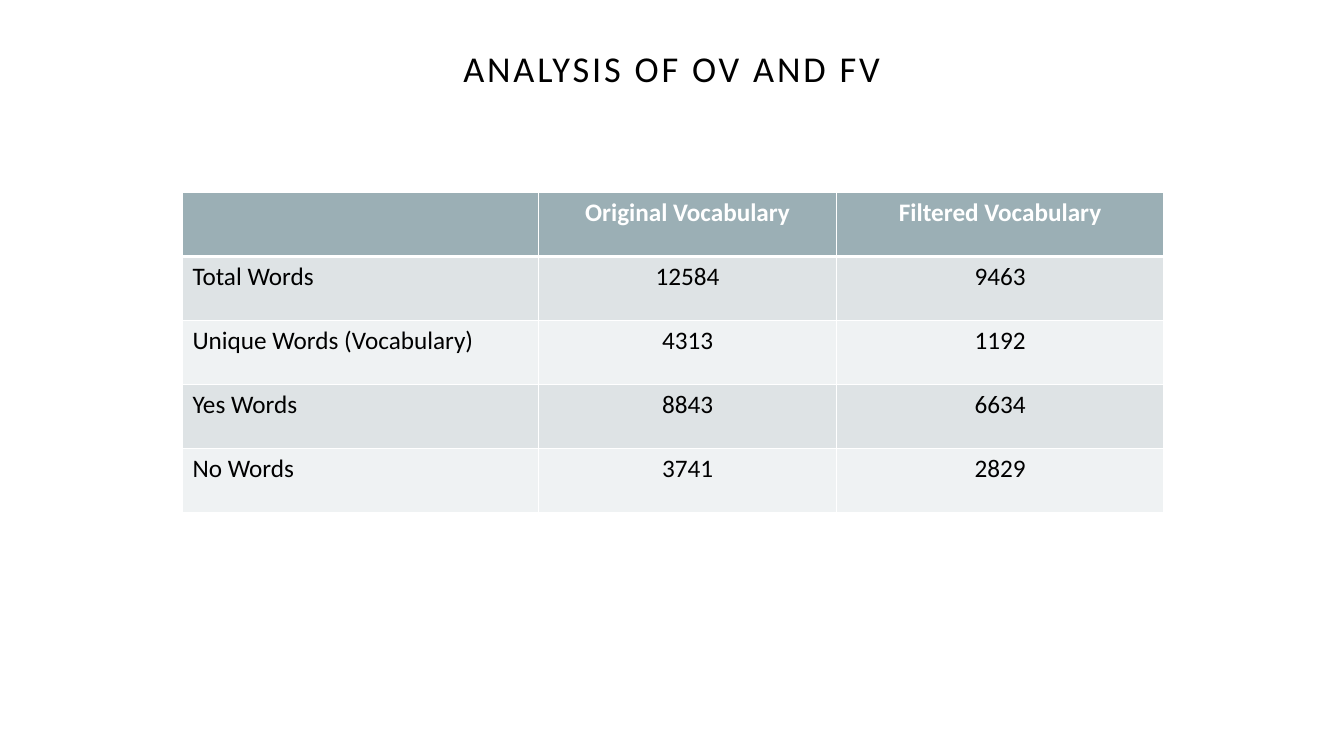
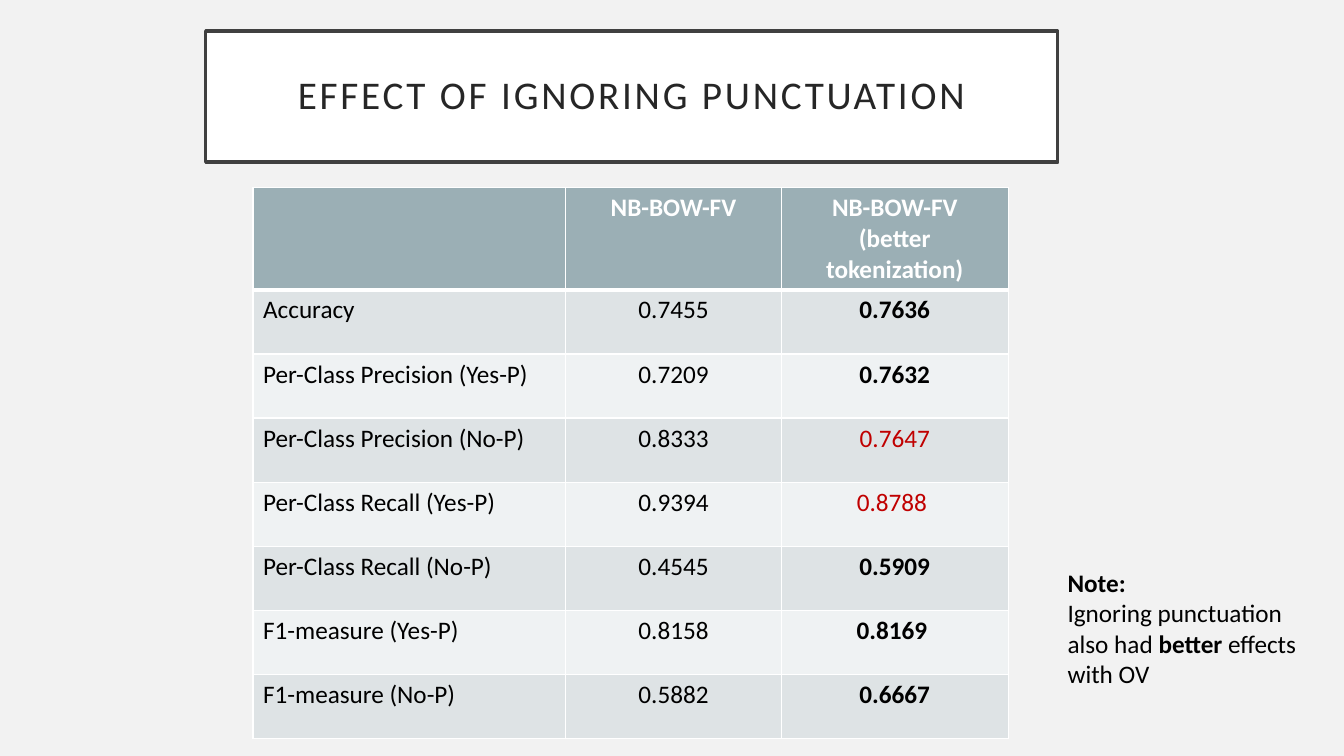
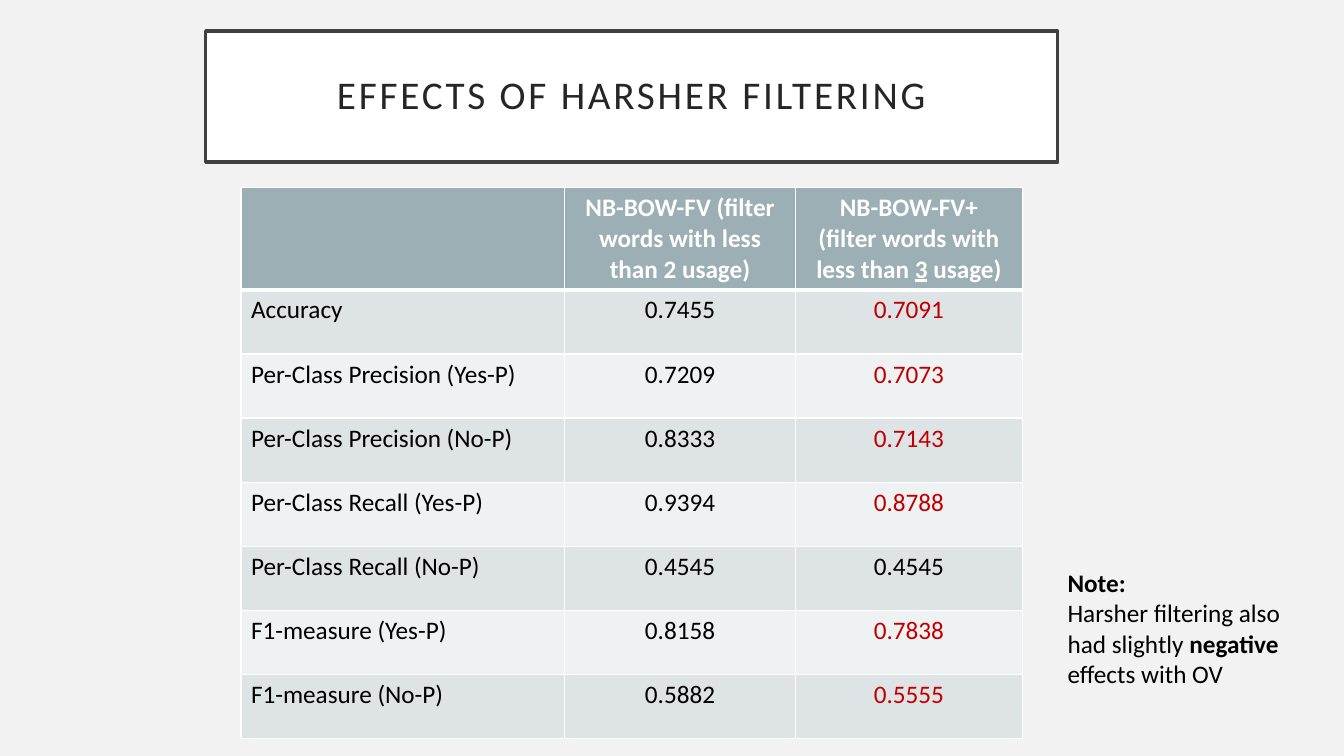
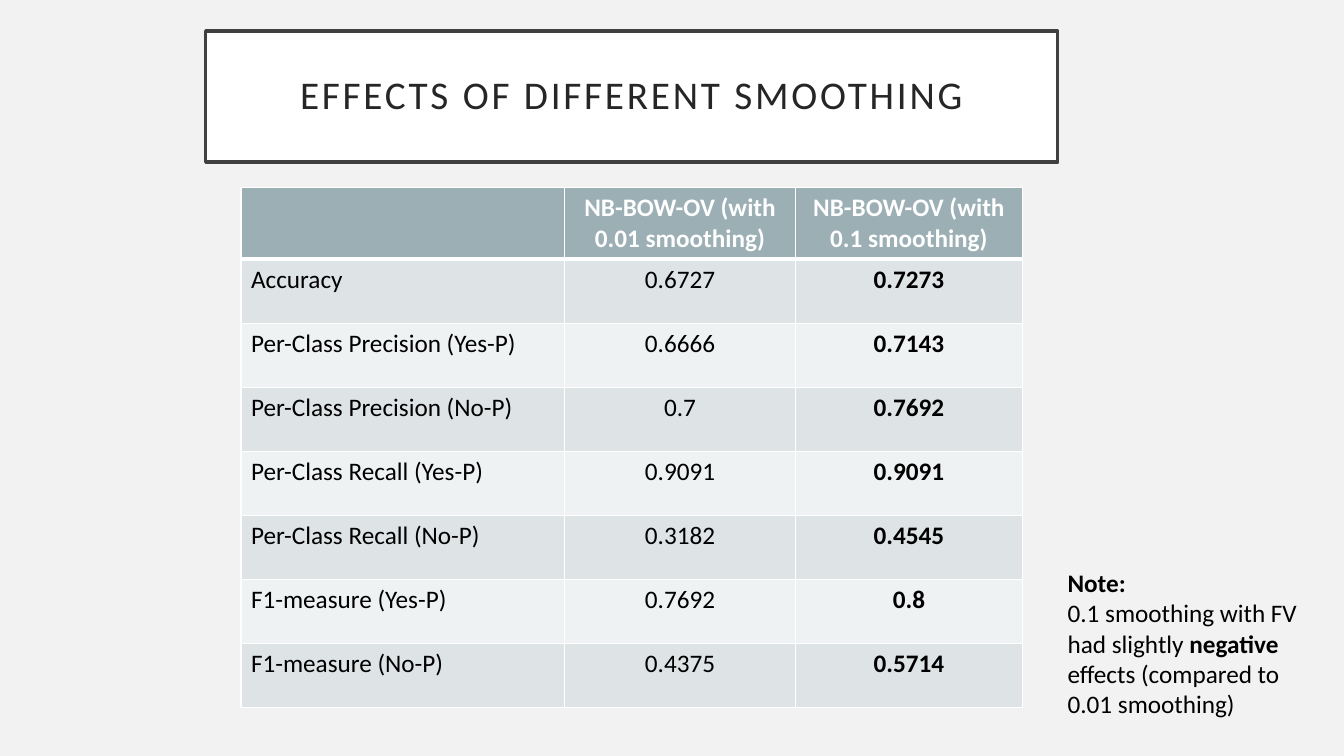
"""Build four slides comparing vocabularies and classifier variants in tables."""
from dataclasses import dataclass

from lxml.etree import SubElement
from pptx import Presentation
from pptx.dml.color import RGBColor
from pptx.enum.text import MSO_ANCHOR, MSO_AUTO_SIZE, PP_ALIGN
from pptx.oxml.ns import qn
from pptx.util import Inches, Pt


@dataclass(frozen=True)
class Theme:
    font: str = "Calibri"
    white: RGBColor = RGBColor.from_string("FFFFFF")
    black: RGBColor = RGBColor.from_string("000000")
    page: RGBColor = RGBColor.from_string("F2F2F2")
    frame: RGBColor = RGBColor.from_string("404040")
    heading: RGBColor = RGBColor.from_string("262626")
    header: RGBColor = RGBColor.from_string("9BAFB5")
    odd_row: RGBColor = RGBColor.from_string("DEE3E5")
    even_row: RGBColor = RGBColor.from_string("EFF2F3")
    worse: RGBColor = RGBColor.from_string("C00000")
    plain_title_size: int = 26
    framed_title_size: int = 28
    text_size: int = 18
    title_spacing: int = 200
    frame_width: float = 2.5
    grid_width: int = 1
    header_rule_width: int = 3


THEME = Theme()
ROW_HEIGHT = Inches(3.18) // 5
METRICS = [
    "Accuracy",
    "Per-Class Precision (Yes-P)",
    "Per-Class Precision (No-P)",
    "Per-Class Recall (Yes-P)",
    "Per-Class Recall (No-P)",
    "F1-measure (Yes-P)",
    "F1-measure (No-P)",
]
FV_SCORES = ["0.7455", "0.7209", "0.8333", "0.9394", "0.4545", "0.8158", "0.5882"]

SLIDES = [
    {
        "title": "ANALYSIS OF OV AND FV",
        "framed": False,
        "table_at": (1.81, 1.91),
        "columns": [3.53, 2.96, 3.24],
        "headers": [[], [[("Original Vocabulary", "bold")]], [[("Filtered Vocabulary", "bold")]]],
        "labels": ["Total Words", "Unique Words (Vocabulary)", "Yes Words", "No Words"],
        "baseline": ["12584", "4313", "8843", "3741"],
        "variant": ["9463", "1192", "6634", "2829"],
        "styles": [""] * 4,
    },
    {
        "title": "EFFECT OF IGNORING PUNCTUATION",
        "framed": True,
        "table_at": (2.51, 1.86),
        "columns": [3.1, 2.14, 2.25],
        "headers": [
            [],
            [[("NB-BOW-FV", "bold")]],
            [[("NB-BOW-FV", "bold")], [("(better tokenization)", "bold")]],
        ],
        "labels": METRICS,
        "baseline": FV_SCORES,
        "variant": ["0.7636", "0.7632", "0.7647", "0.8788 ", "0.5909", "0.8169 ", "0.6667"],
        "styles": ["bold", "bold", "worse", "worse", "bold", "bold", "bold"],
        "note": [("Ignoring punctuation also had ", ""), ("better", "bold"), (" effects with OV", "")],
        "note_height": 1.31,
    },
    {
        "title": "EFFECTS OF HARSHER FILTERING",
        "framed": True,
        "table_at": (2.39, 1.86),
        "columns": [3.21, 2.29, 2.25],
        "headers": [
            [],
            [[("NB-BOW-FV (filter words with less than 2 usage)", "bold")]],
            [
                [("NB-BOW-FV+", "bold")],
                [("(filter words with less than ", "bold"), ("3", "bold underline"), (" usage)", "bold")],
            ],
        ],
        "labels": METRICS,
        "baseline": FV_SCORES,
        "variant": ["0.7091", "0.7073", "0.7143", "0.8788", "0.4545", "0.7838", "0.5555"],
        "styles": ["worse"] * 4 + [""] + ["worse"] * 2,
        "note": [
            ("Harsher filtering also had slightly ", ""),
            ("negative", "bold"),
            (" effects with OV", ""),
        ],
        "note_height": 1.31,
    },
    {
        "title": "EFFECTS OF DIFFERENT SMOOTHING",
        "framed": True,
        "table_at": (2.39, 1.86),
        "columns": [3.21, 2.29, 2.25],
        "headers": [
            [],
            [[("NB-BOW-OV (with 0.01 smoothing)", "bold")]],
            [[("NB-BOW-OV (with 0.1 smoothing)", "bold")]],
        ],
        "labels": METRICS,
        "baseline": ["0.6727", "0.6666", "0.7", "0.9091", "0.3182", "0.7692", "0.4375"],
        "variant": ["0.7273", "0.7143", "0.7692", "0.9091", "0.4545", "0.8", "0.5714"],
        "styles": ["bold"] * 7,
        "note": [
            ("0.1 smoothing with FV had slightly ", ""),
            ("negative", "bold"),
            (" effects (compared to 0.01 smoothing)", ""),
        ],
        "note_height": 1.62,
    },
]


def write(frame, paragraphs, color, alignment=PP_ALIGN.LEFT, size=THEME.text_size):
    """Write paragraphs of (text, style) runs into a text frame."""
    for index, runs in enumerate(paragraphs):
        paragraph = frame.add_paragraph() if index else frame.paragraphs[0]
        paragraph.alignment = alignment
        for text, style in runs:
            run = paragraph.add_run()
            run.text = text
            run.font.name = THEME.font
            run.font.size = Pt(size)
            run.font.bold = "bold" in style
            run.font.underline = "underline" in style
            run.font.color.rgb = THEME.worse if "worse" in style else color


def rule_cell(cell, top, bottom):
    """Draw the white cell borders with the given top and bottom widths."""
    properties = cell._tc.get_or_add_tcPr()
    widths = {"a:lnL": THEME.grid_width, "a:lnR": THEME.grid_width, "a:lnT": top, "a:lnB": bottom}
    for tag, width in widths.items():
        border = SubElement(properties, qn(tag), w=str(Pt(width)))
        SubElement(SubElement(border, qn("a:solidFill")), qn("a:srgbClr"), val=str(THEME.white))


deck = Presentation()
deck.slide_width = Inches(13.33)
deck.slide_height = Inches(7.5)

for content in SLIDES:
    framed = content["framed"]
    slide = deck.slides.add_slide(deck.slide_layouts[5])
    slide.background.fill.solid()
    slide.background.fill.fore_color.rgb = THEME.page if framed else THEME.white

    title = slide.shapes.title
    title_box = (2.04, 0.31, 8.45, 1.3) if framed else (0, 0.28, 13.33, 0.84)
    title.left, title.top, title.width, title.height = map(Inches, title_box)
    title.line.color.rgb = THEME.frame if framed else THEME.white
    title.line.width = Pt(THEME.frame_width)
    if framed:
        title.fill.solid()
        title.fill.fore_color.rgb = THEME.white
    heading = title.text_frame
    heading.word_wrap = True
    heading.auto_size = MSO_AUTO_SIZE.NONE
    heading.vertical_anchor = MSO_ANCHOR.MIDDLE
    heading.margin_left = heading.margin_right = Inches(0.2)
    heading.margin_top = heading.margin_bottom = Inches(0.2)
    write(
        heading,
        [[(content["title"], "")]],
        THEME.heading if framed else THEME.black,
        PP_ALIGN.CENTER,
        THEME.framed_title_size if framed else THEME.plain_title_size,
    )
    heading.paragraphs[0].line_spacing = 0.9
    heading.paragraphs[0].runs[0]._r.get_or_add_rPr().set("spc", str(THEME.title_spacing))

    rows = [content["headers"]]
    for label, baseline, variant, style in zip(
        content["labels"], content["baseline"], content["variant"], content["styles"]
    ):
        rows.append([[[(label, "")]], [[(baseline, "")]], [[(variant, style)]]])

    left, top = map(Inches, content["table_at"])
    table = slide.shapes.add_table(
        len(rows), 3, left, top, Inches(sum(content["columns"])), ROW_HEIGHT * len(rows)
    ).table
    for column, width in zip(table.columns, content["columns"]):
        column.width = Inches(width)
    for row_index, row in enumerate(rows):
        table.rows[row_index].height = ROW_HEIGHT
        if row_index == 0:
            fill, color = THEME.header, THEME.white
        else:
            fill, color = (THEME.odd_row if row_index % 2 else THEME.even_row), THEME.black
        for column_index, paragraphs in enumerate(row):
            cell = table.cell(row_index, column_index)
            rule_cell(
                cell,
                THEME.header_rule_width if row_index == 1 else THEME.grid_width,
                THEME.header_rule_width if row_index == 0 else THEME.grid_width,
            )
            cell.fill.solid()
            cell.fill.fore_color.rgb = fill
            alignment = PP_ALIGN.CENTER if column_index else PP_ALIGN.LEFT
            write(cell.text_frame, paragraphs, color, alignment)

    if "note" in content:
        note = slide.shapes.add_textbox(
            Inches(10.49), Inches(5.58), Inches(2.73), Inches(content["note_height"])
        ).text_frame
        note.word_wrap = True
        note.auto_size = MSO_AUTO_SIZE.SHAPE_TO_FIT_TEXT
        write(note, [[("Note:", "bold")], content["note"]], THEME.black)

deck.save("out.pptx")
